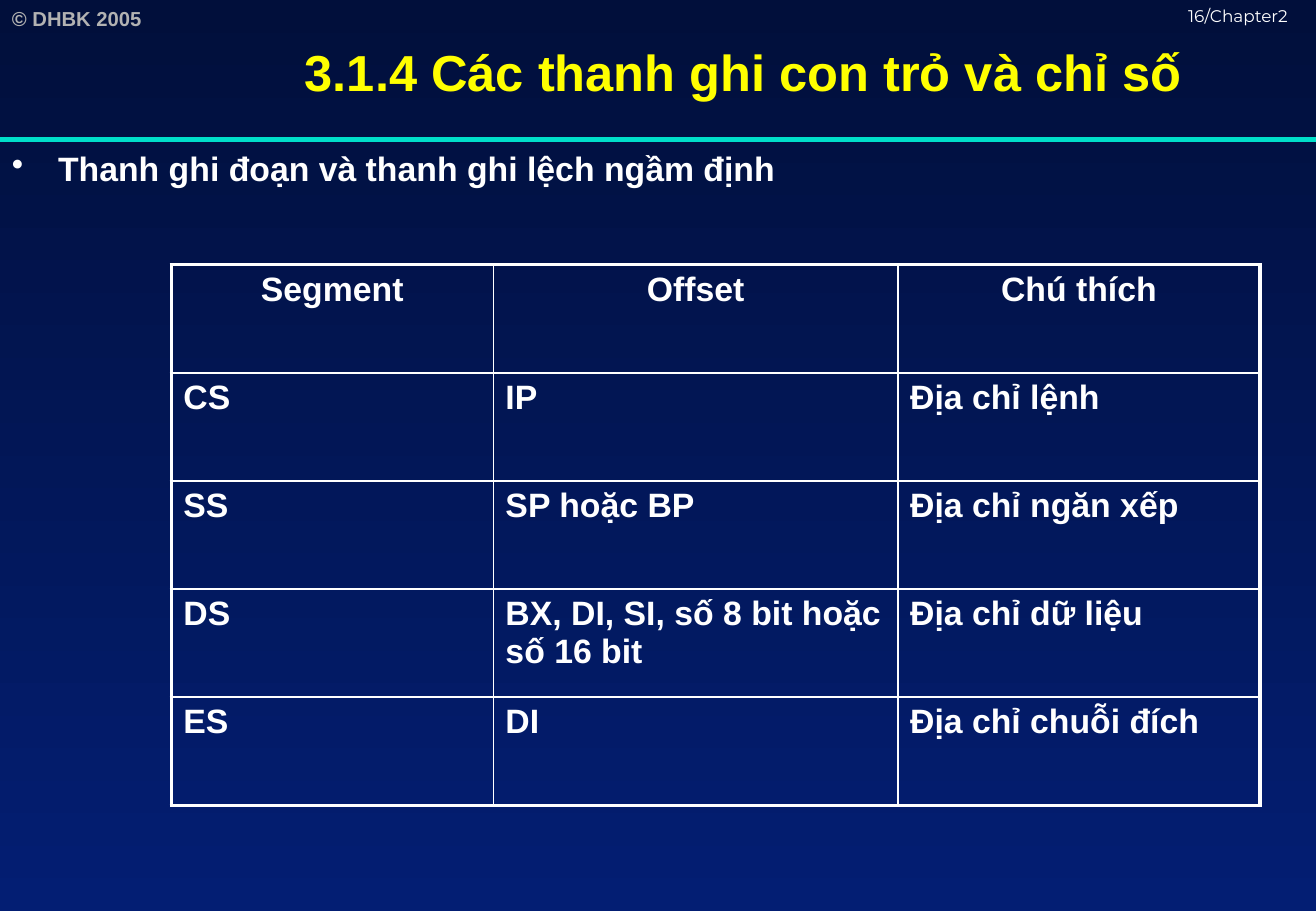
import pptx
import pptx.dml.color
import pptx.enum.shapes
import pptx.enum.text
import pptx.oxml
import pptx.oxml.ns
import pptx.util
from lxml import etree

Inches = pptx.util.Inches
Pt = pptx.util.Pt
ALIGN = pptx.enum.text.PP_ALIGN
ANCHOR = pptx.enum.text.MSO_ANCHOR

WIDTH, HEIGHT = 10.83, 7.5
RULE_TOP = 1.15
COLORS = {
    "sky": "010F3B",
    "deep": "031E73",
    "rule": "00DFCA",
    "title": "FFFF00",
    "text": "FFFFFF",
    "copyright": "B2B2B2",
}
BODY = {"name": "Arial", "size": Pt(20), "bold": True}
REGISTERS = [
    ("Segment", "Offset", "Chú thích"),
    ("CS", "IP", "Địa chỉ lệnh"),
    ("SS", "SP hoặc BP", "Địa chỉ ngăn xếp"),
    ("DS", "BX, DI, SI, số 8 bit hoặc số 16 bit", "Địa chỉ dữ liệu"),
    ("ES", "DI", "Địa chỉ chuỗi đích"),
]
COLUMN_WIDTHS = (2.65, 3.33, 2.98)
ROW_HEIGHT = 0.89
THIN, THICK = 1, 2.25


def rgb(name):
    return pptx.dml.color.RGBColor.from_string(COLORS[name])


def write(para, text, color, font, align=ALIGN.LEFT):
    para.text = text
    para.alignment = align
    para.font.color.rgb = rgb(color)
    for key, value in font.items():
        setattr(para.font, key, value)


def place(shape, box):
    for key, value in zip(("left", "top", "width", "height"), box):
        setattr(shape, key, Inches(value))


def add_text(page, box, text, color, font):
    """Add a wrapped one-paragraph text box and return its paragraph."""
    shape = page.shapes.add_textbox(*map(Inches, box))
    shape.text_frame.word_wrap = True
    para = shape.text_frame.paragraphs[0]
    write(para, text, color, font)
    return para


def paint_background(page):
    fill = page.background.fill
    fill.gradient()
    fill.gradient_angle = 270
    for stop, name, position in zip(fill.gradient_stops, ("sky", "deep"), (0, 1)):
        stop.color.rgb = rgb(name)
        stop.position = position


def add_header(page, box):
    left, top, width, height = box
    add_text(page, (left, top, 1.57, 0.3), "© DHBK 2005", "copyright",
             {"name": "Arial", "size": Pt(12), "bold": True})
    add_text(page, (left + width - 1.15, top, 1.15, 0.25), "16/Chapter2", "text",
             {"name": "Montserrat", "size": Pt(10)})

    rule = page.shapes.add_connector(
        pptx.enum.shapes.MSO_CONNECTOR.STRAIGHT,
        *map(Inches, (left, top + height, left + width, top + height)))
    rule.line.color.rgb = rgb("rule")
    rule.line.width = Pt(3)
    etree.SubElement(rule._element.spPr, pptx.oxml.ns.qn("a:effectLst"))

    title = page.shapes.title
    place(title, (left + 1.41, top, width - 1.41, height + 0.02))
    frame = title.text_frame
    frame.word_wrap = True
    frame.auto_size = pptx.enum.text.MSO_AUTO_SIZE.NONE
    frame.vertical_anchor = ANCHOR.MIDDLE
    write(frame.paragraphs[0], "3.1.4 Các thanh ghi con trỏ và chỉ số", "title",
          {"name": "Arial", "size": Pt(30), "bold": True}, ALIGN.CENTER)


def add_bullet_text(page, box):
    para = add_text(page, box, "Thanh ghi đoạn và thanh ghi lệch ngầm định",
                    "text", BODY)
    properties = para._p.get_or_add_pPr()
    properties.set("marL", str(Inches(0.38)))
    properties.set("indent", str(-Inches(0.38)))
    bullet = pptx.oxml.parse_xml(
        f'<a:buChar {pptx.oxml.ns.nsdecls("a")} char="•"/>')
    properties.insert(0, bullet)


def set_borders(cell, widths):
    """Draw the cell sides from a dict of side letter to points."""
    properties = cell._tc.get_or_add_tcPr()
    for side in "LRTB":
        properties.append(pptx.oxml.parse_xml(
            f'<a:ln{side} {pptx.oxml.ns.nsdecls("a")} w="{Pt(widths[side])}">'
            f'<a:solidFill><a:srgbClr val="{COLORS["text"]}"/></a:solidFill>'
            f'</a:ln{side}>'))


def add_register_table(page, left, top):
    rows, columns = len(REGISTERS), len(COLUMN_WIDTHS)
    table = page.shapes.add_table(
        rows, columns, Inches(left), Inches(top),
        Inches(sum(COLUMN_WIDTHS)), Inches(rows * ROW_HEIGHT)).table
    table.first_row = table.horz_banding = False
    for column, width in zip(table.columns, COLUMN_WIDTHS):
        column.width = Inches(width)
    for i, texts in enumerate(REGISTERS):
        table.rows[i].height = Inches(ROW_HEIGHT)
        for j, text in enumerate(texts):
            cell = table.cell(i, j)
            outer = {"L": j == 0, "R": j == columns - 1,
                     "T": i == 0, "B": i == rows - 1}
            set_borders(cell, {side: THICK if edge else THIN
                               for side, edge in outer.items()})
            cell.fill.background()
            write(cell.text_frame.paragraphs[0], text, "text", BODY,
                  ALIGN.CENTER if i == 0 else ALIGN.LEFT)


def main():
    deck = pptx.Presentation()
    deck.slide_width, deck.slide_height = Inches(WIDTH), Inches(HEIGHT)
    page = deck.slides.add_slide(deck.slide_layouts.get_by_name("Title Only"))
    paint_background(page)
    add_header(page, (0, 0, WIDTH, RULE_TOP))
    add_bullet_text(page, (0, 1.17, WIDTH, 0.5))
    add_register_table(page, 1.41, 2.18)
    deck.save("out.pptx")


if __name__ == "__main__":
    main()
